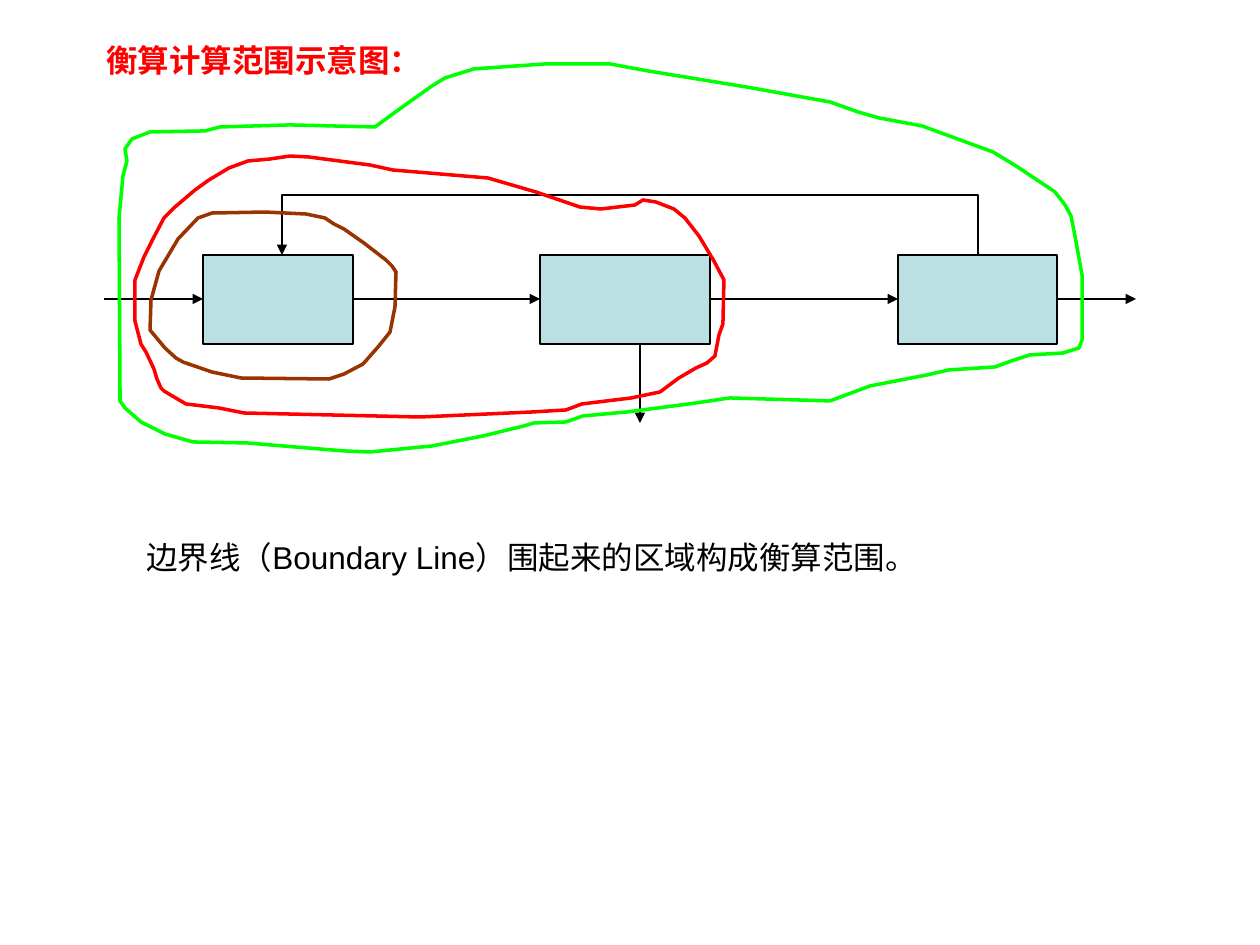
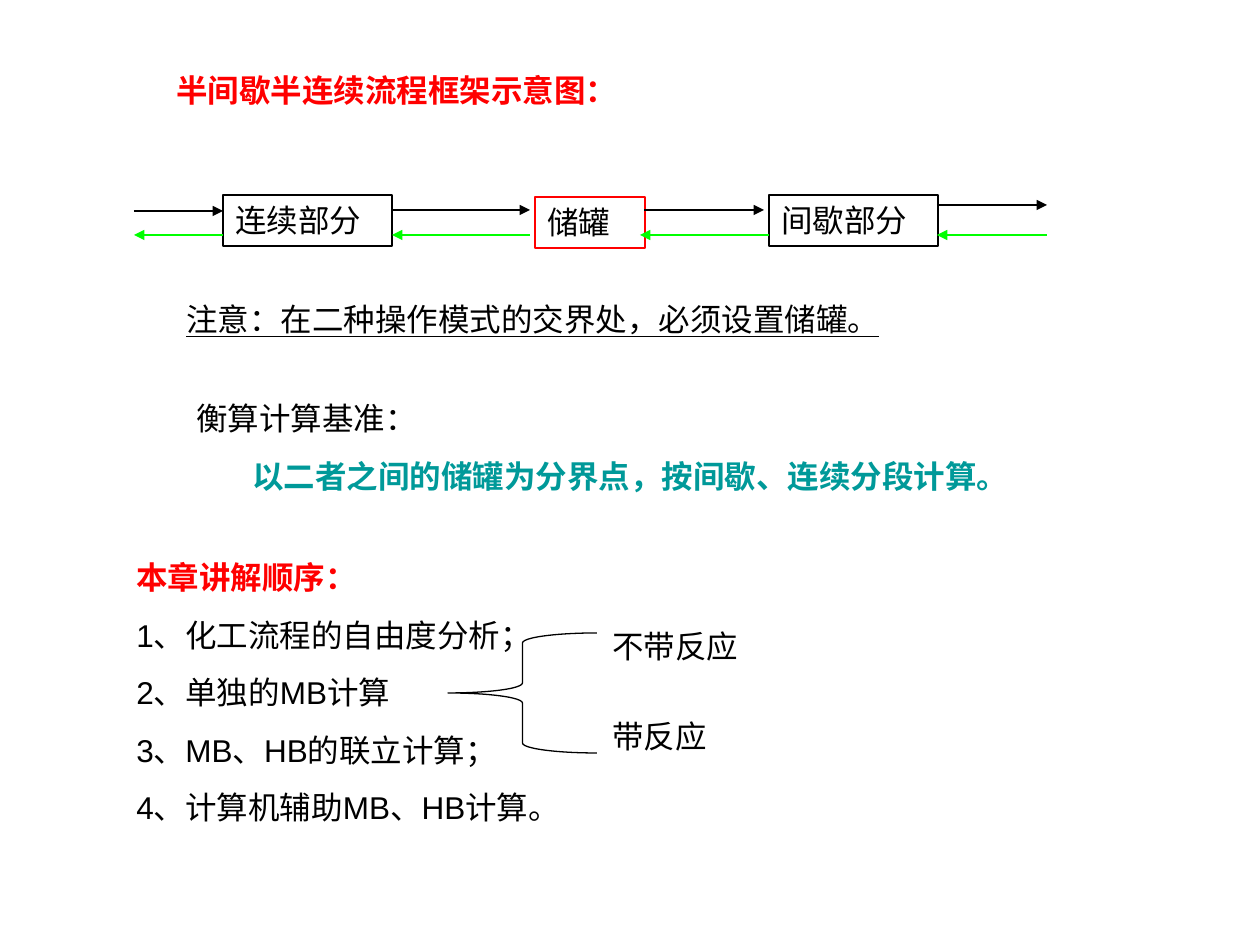
from lxml import etree
from pptx import Presentation
from pptx.dml.color import RGBColor
from pptx.enum.shapes import MSO_CONNECTOR, MSO_SHAPE
from pptx.enum.text import MSO_ANCHOR, PP_ALIGN
from pptx.oxml.ns import qn
from pptx.util import Pt

PX = 914400 / 126
RECTANGLE = MSO_SHAPE.RECTANGLE
LEFT_BRACE = MSO_SHAPE.LEFT_BRACE
STRAIGHT = MSO_CONNECTOR.STRAIGHT
TOP = MSO_ANCHOR.TOP
LEFT = PP_ALIGN.LEFT

BLACK = "000000"
RED = "FF0000"
GREEN = "00FF00"
BROWN = "993300"
TEAL = "009999"
PALE_BLUE = "BBE0E3"
FONT = "Arial"
LINE_HEIGHT = 50

REACTOR_BOUNDARY = [
    (50, 270), (51, 240), (59, 211), (78, 179), (98, 158), (112, 153), (165, 152),
    (206, 154), (225, 158), (234, 164), (244, 169), (264, 183), (286, 200),
    (292, 206), (296, 212), (295, 247), (290, 272), (278, 287), (263, 304),
    (244, 314), (229, 319), (141, 318), (112, 312), (83, 302), (76, 298), (65, 288),
]
TWO_UNIT_BOUNDARY = [
    (61, 328), (57, 319), (54, 309), (46, 292), (41, 284), (35, 261), (35, 220),
    (44, 197), (54, 177), (64, 158), (75, 147), (95, 130), (109, 120), (129, 108),
    (148, 101), (170, 99), (190, 96), (209, 97), (270, 105), (293, 110), (388, 118),
    (436, 132), (480, 147), (501, 149), (535, 145), (543, 140), (556, 142),
    (574, 149), (585, 158), (599, 176), (614, 201), (624, 220), (623, 264),
    (619, 275), (615, 296), (607, 303), (596, 308), (579, 318), (560, 332),
    (531, 338), (482, 344), (466, 350), (432, 352), (320, 357), (144, 353),
    (119, 348), (86, 344), (74, 337), (64, 331),
]
PLANT_BOUNDARY = [
    (27, 101), (23, 116), (19, 158), (20, 329), (20, 341), (25, 348), (41, 362),
    (65, 374), (93, 382), (147, 383), (195, 387), (244, 391), (270, 392), (332, 386),
    (383, 376), (424, 366), (434, 363), (466, 362), (483, 356), (527, 352),
    (589, 344), (630, 338), (730, 341), (770, 326), (827, 315), (849, 310),
    (895, 307), (914, 300), (930, 295), (963, 293), (979, 288), (982, 280),
    (982, 215), (975, 176), (971, 156), (965, 145), (955, 132), (916, 106),
    (893, 92), (822, 66), (779, 58), (758, 52), (730, 42), (646, 27), (548, 11),
    (510, 4), (445, 4), (374, 9), (345, 18), (332, 26), (301, 48), (275, 67),
    (190, 65), (120, 67), (105, 71), (50, 72), (32, 79), (25, 89),
]


def emu(*lengths):
    return [round(length * PX) for length in lengths]


def rgb(color):
    return RGBColor.from_string(color)


def set_line(item, color, width=0.75, arrow=False):
    item.line.color.rgb = rgb(color)
    item.line.width = Pt(width)
    if arrow:
        outline = item._element.spPr.find(qn("a:ln"))
        etree.SubElement(outline, qn("a:tailEnd"), type="triangle")


def set_shape(shape, line, fill=None, **line_format):
    shape.shadow.inherit = False
    if fill:
        shape.fill.solid()
        shape.fill.fore_color.rgb = rgb(fill)
    else:
        shape.fill.background()
    set_line(shape, line, **line_format)


def write(frame, text, color=BLACK, bold=False, underline=False, indent=0):
    frame.word_wrap = True
    frame.vertical_anchor = TOP
    paragraph = frame.paragraphs[0]
    if paragraph.runs:
        paragraph = frame.add_paragraph()
        paragraph.space_before = Pt(11.25)
    paragraph.alignment = LEFT
    if indent:
        paragraph._p.get_or_add_pPr().set("marL", str(emu(indent)[0]))
    run = paragraph.add_run()
    run.text = text
    run.font.name = FONT
    run.font.size = Pt(18)
    run.font.bold = bold
    run.font.underline = underline
    run.font.color.rgb = rgb(color)


def add_note(slide, left, top, width, text, height=LINE_HEIGHT, **text_format):
    frame = slide.shapes.add_textbox(*emu(left, top, width, height)).text_frame
    write(frame, text, **text_format)
    return frame


def add_title(slide, left, top, width, text):
    add_note(slide, left, top, width, text, color=RED, bold=True)


def add_unit(slide, left, top, width, height, line=BLACK, fill=None):
    unit = slide.shapes.add_shape(RECTANGLE, *emu(left, top, width, height))
    set_shape(unit, line, fill)
    return unit.text_frame


def add_arrow(slide, start_x, start_y, end_x, end_y, color=BLACK):
    arrow = slide.shapes.add_connector(STRAIGHT, *emu(start_x, start_y, end_x, end_y))
    set_line(arrow, color, arrow=True)
    etree.SubElement(arrow._element.spPr, qn("a:effectLst"))


def add_outline(slide, left, top, points, color, close=True, **line_format):
    builder = slide.shapes.build_freeform(*points[0], scale=PX)
    builder.add_line_segments(points[1:], close=close)
    set_shape(builder.convert_to_shape(*emu(left, top)), color, **line_format)


def add_balance_diagram(slide, left, top):
    units = [(103, 150), (440, 170), (798, 159)]
    unit_top, unit_height = 195, 89
    middle = top + unit_top + unit_height // 2
    for x, width in units:
        add_unit(slide, left + x, top + unit_top, width, unit_height, fill=PALE_BLUE)
    starts = [4] + [x + width for x, width in units]
    ends = [x for x, width in units] + [1036]
    for start, end in zip(starts, ends):
        add_arrow(slide, left + start, middle, left + end, middle)
    outlet_top = top + unit_top + unit_height
    add_arrow(slide, left + 540, outlet_top, left + 540, outlet_top + 79)
    recycle = [(878, unit_top), (878, 135), (182, 135), (182, unit_top)]
    add_outline(slide, left, top, recycle, BLACK, close=False, arrow=True)
    for points, color in [(REACTOR_BOUNDARY, BROWN), (TWO_UNIT_BOUNDARY, RED),
                          (PLANT_BOUNDARY, GREEN)]:
        add_outline(slide, left, top, points, color, width=2)


def add_semibatch_diagram(slide, left, top):
    units = [("连续部分", 89, 0, 169, BLACK), ("间歇部分", 635, 0, 169, BLACK),
             ("储罐", 401, 2, 110, RED)]
    for name, x, y, width, line in units:
        write(add_unit(slide, left + x, top + y, width, LINE_HEIGHT + 1, line), name)
    forward = [(0, 89, 16), (258, 396, 15), (510, 630, 15), (803, 913, 10)]
    backward = [(913, 803, 40), (635, 506, 40), (396, 258, 40), (89, 0, 40)]
    for flows, color in [(forward, BLACK), (backward, GREEN)]:
        for start, end, y in flows:
            add_arrow(slide, left + start, top + y, left + end, top + y, color)


def add_chapter_order(slide, left, top):
    order = add_note(slide, left, top, 1022, "本章讲解顺序：", height=281,
                     color=RED, bold=True)
    for step in ["1、化工流程的自由度分析；", "2、单独的MB计算",
                 "3、MB、HB的联立计算；", "4、计算机辅助MB、HB计算。"]:
        write(order, step)
    brace = slide.shapes.add_shape(LEFT_BRACE, *emu(left + 324, top + 81, 149, 120))
    set_shape(brace, BLACK)
    for y, case in [(69, "不带反应"), (159, "带反应")]:
        add_note(slide, left + 476, top + y, 169, case)


def build_balance_slide(slide):
    add_title(slide, 94, 35, 635, "衡算计算范围示意图：")
    add_balance_diagram(slide, 100, 60)
    add_note(slide, 134, 532, 853, "边界线（Boundary Line）围起来的区域构成衡算范围。")


def build_semibatch_slide(slide):
    add_title(slide, 164, 65, 476, "半间歇半连续流程框架示意图：")
    add_semibatch_diagram(slide, 134, 195)
    add_note(slide, 174, 294, 794, "注意：在二种操作模式的交界处，必须设置储罐。", underline=True)
    basis = add_note(slide, 184, 393, 942, "衡算计算基准：", height=108)
    write(basis, "以二者之间的储罐为分界点，按间歇、连续分段计算。",
          color=TEAL, bold=True, indent=56)
    add_chapter_order(slide, 124, 552)


def main():
    deck = Presentation()
    deck.slide_width, deck.slide_height = emu(1260, 945)
    for build in (build_balance_slide, build_semibatch_slide):
        build(deck.slides.add_slide(deck.slide_layouts[6]))
    deck.save("out.pptx")


if __name__ == "__main__":
    main()
